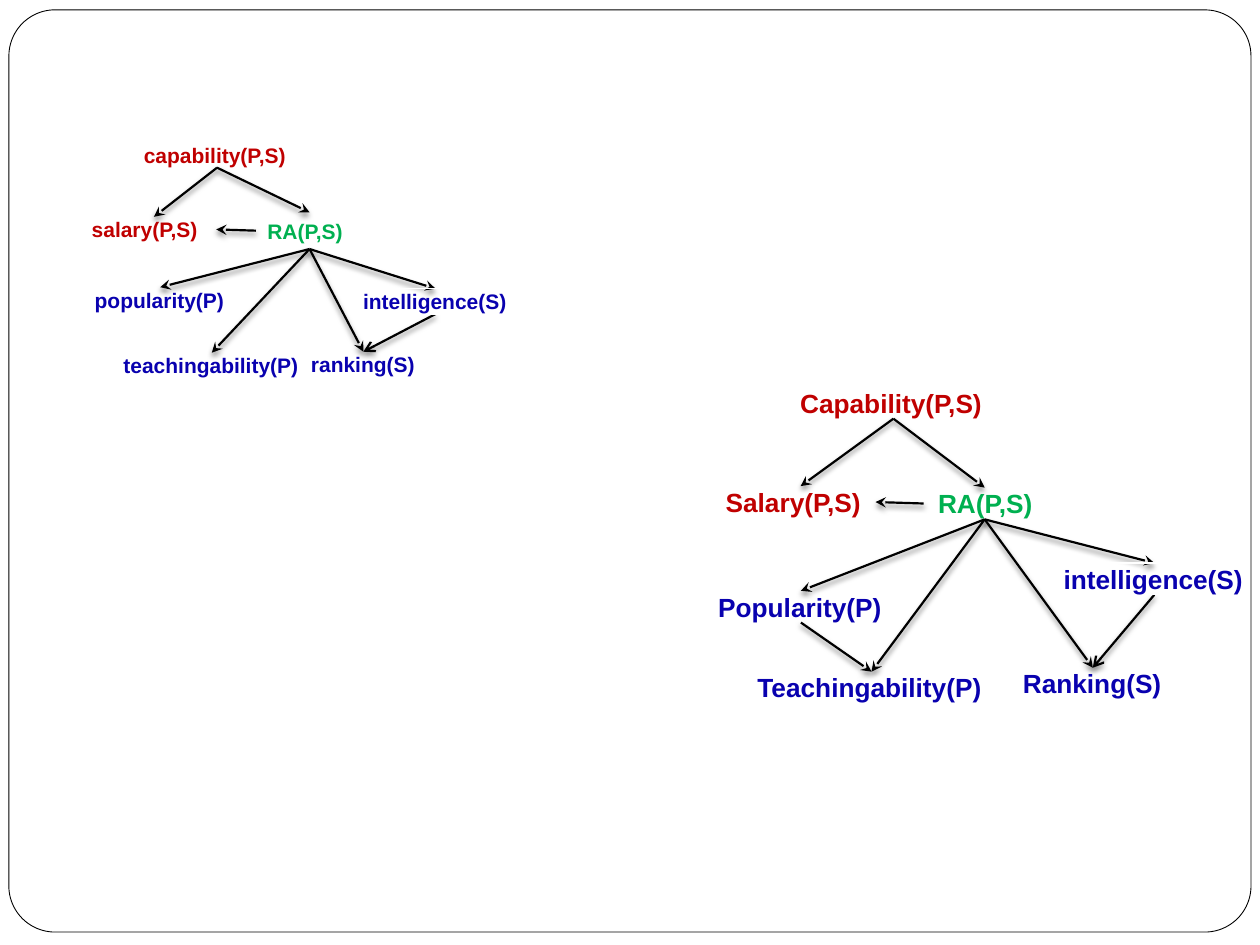
from dataclasses import dataclass

from lxml import etree
from pptx import Presentation
from pptx.dml.color import RGBColor
from pptx.enum.shapes import MSO_CONNECTOR, MSO_SHAPE
from pptx.enum.text import MSO_ANCHOR, MSO_AUTO_SIZE, PP_ALIGN
from pptx.oxml import parse_xml
from pptx.oxml.ns import nsdecls, qn
from pptx.util import Cm, Pt

RECT, ROUND_RECT = MSO_SHAPE.RECTANGLE, MSO_SHAPE.ROUNDED_RECTANGLE
STRAIGHT = MSO_CONNECTOR.STRAIGHT
TOP, MIDDLE = MSO_ANCHOR.TOP, MSO_ANCHOR.MIDDLE
GROW = MSO_AUTO_SIZE.SHAPE_TO_FIT_TEXT
LEFT = PP_ALIGN.LEFT

BLACK = RGBColor(0x00, 0x00, 0x00)
WHITE = RGBColor(0xFF, 0xFF, 0xFF)
RED = RGBColor(0xC0, 0x00, 0x00)
GREEN = RGBColor(0x00, 0xB0, 0x50)
BLUE = RGBColor(0x09, 0x01, 0xAF)

# Connection sites of a rectangle
SITE_TOP, SITE_LEFT, SITE_BOTTOM, SITE_RIGHT = range(4)

SHADOW = (
    f'<a:effectLst {nsdecls("a")}>'
    '<a:outerShdw blurRad="38100" dist="25400" dir="5400000" rotWithShape="0">'
    '<a:srgbClr val="000000"><a:alpha val="50000"/></a:srgbClr>'
    '</a:outerShdw></a:effectLst>'
)


@dataclass
class Node:
    label: str
    left: float
    top: float
    width: float
    height: float
    color: RGBColor
    wrap: bool = False
    indent: float = 0
    anchor: MSO_ANCHOR = TOP

    @property
    def key(self) -> str:
        return self.label.split("(")[0].lower()


@dataclass
class Edge:
    start: str
    end: str
    start_site: int = SITE_BOTTOM
    end_site: int = SITE_TOP
    head: str = "stealth"


EDGES = [
    Edge("capability", "ra"),
    Edge("capability", "salary"),
    Edge("ra", "intelligence"),
    Edge("ra", "popularity"),
    Edge("ra", "teachingability"),
    Edge("ra", "ranking"),
    Edge("ra", "salary", SITE_LEFT, SITE_RIGHT),
    Edge("intelligence", "ranking", head="arrow"),
]

LARGE_H, SMALL_H = 0.64, 0.51
LARGE_NODES = [
    Node("RA(P,S)", 18.62, 9.83, 2.46, LARGE_H, GREEN, wrap=True, indent=0.29),
    Node("Capability(P,S)", 16.13, 7.8, 3.76, LARGE_H, RED),
    Node("Popularity(P)", 14.48, 11.91, 3.33, LARGE_H, BLUE),
    Node("Salary(P,S)", 14.63, 9.8, 3.02, LARGE_H, RED, wrap=True),
    Node("Ranking(S)", 20.62, 13.46, 2.82, LARGE_H, BLUE),
    Node("Teachingability(P)", 15.27, 13.54, 4.6, LARGE_H, BLUE),
    Node("intelligence(S)", 21.44, 11.35, 3.66, LARGE_H, BLUE),
]
SMALL_NODES = [
    Node("RA(P,S)", 5.16, 4.28, 2.16, 0.74, GREEN, wrap=True, indent=0.23,
         anchor=MIDDLE),
    Node("capability(P,S)", 2.9, 2.87, 2.95, SMALL_H, RED),
    Node("popularity(P)", 1.91, 5.79, 2.64, SMALL_H, BLUE),
    Node("salary(P,S)", 1.85, 4.37, 2.51, SMALL_H, RED, wrap=True),
    Node("ranking(S)", 6.27, 7.09, 2.11, SMALL_H, BLUE),
    Node("teachingability(P)", 2.49, 7.11, 3.56, SMALL_H, BLUE),
    Node("intelligence(S)", 7.32, 5.82, 2.92, SMALL_H, BLUE),
]


def draw_node(shapes, node: Node, size: int):
    sp = shapes.add_shape(RECT, Cm(node.left), Cm(node.top),
                          Cm(node.width), Cm(node.height))
    sp.shadow.inherit = False
    sp.fill.background()
    sp.line.color.rgb = WHITE
    sp.line.width = Pt(0.75)
    tf = sp.text_frame
    tf.margin_left = Cm(node.indent)
    tf.margin_top = tf.margin_right = tf.margin_bottom = 0
    tf.word_wrap = node.wrap
    tf.vertical_anchor = node.anchor
    if node.anchor == TOP:
        tf.auto_size = GROW
    p = tf.paragraphs[0]
    p.text = node.label
    p.alignment = LEFT
    p.font.name = "Arial"
    p.font.size = Pt(size)
    p.font.bold = True
    p.font.color.rgb = node.color
    return sp


def site_point(sp, site: int) -> tuple[int, int]:
    x = {SITE_LEFT: 0, SITE_RIGHT: sp.width}.get(site, sp.width // 2)
    y = {SITE_TOP: 0, SITE_BOTTOM: sp.height}.get(site, sp.height // 2)
    return sp.left + x, sp.top + y


def draw_edge(shapes, edge: Edge, boxes: dict) -> None:
    start, end = boxes[edge.start], boxes[edge.end]
    cxn = shapes.add_connector(STRAIGHT, *site_point(start, edge.start_site),
                               *site_point(end, edge.end_site))
    cxn.begin_connect(start, edge.start_site)
    cxn.end_connect(end, edge.end_site)
    cxn.line.color.rgb = BLACK
    cxn.line.width = Pt(1.25)
    etree.SubElement(cxn.line._get_or_add_ln(), qn("a:tailEnd"), type=edge.head)
    cxn.element.spPr.append(parse_xml(SHADOW))


def draw_diagram(s, nodes: list[Node], edges: list[Edge], size: int) -> None:
    shapes = s.shapes.add_group_shape().shapes
    boxes = {node.key: draw_node(shapes, node, size) for node in nodes}
    for edge in edges:
        draw_edge(shapes, edge, boxes)
    # The intelligence box lies in front of the arrows
    front = boxes["intelligence"].element
    front.getparent().append(front)


def draw_frame(s) -> None:
    sp = s.shapes.add_shape(ROUND_RECT, Cm(0.18), Cm(0.2), Cm(25.04), Cm(18.59))
    sp.adjustments[0] = 0.05
    sp.shadow.inherit = False
    sp.fill.solid()
    sp.fill.fore_color.rgb = WHITE
    sp.line.color.rgb = BLACK
    sp.line.width = Pt(0.5)


def main() -> None:
    prs = Presentation()
    prs.slide_width, prs.slide_height = Cm(25.4), Cm(19.05)
    s = prs.slides.add_slide(prs.slide_layouts[6])
    draw_frame(s)
    # Only the large diagram links popularity to teachingability
    draw_diagram(s, LARGE_NODES,
                 EDGES + [Edge("popularity", "teachingability")], 15)
    draw_diagram(s, SMALL_NODES, EDGES, 12)
    prs.save("out.pptx")


if __name__ == "__main__":
    main()
